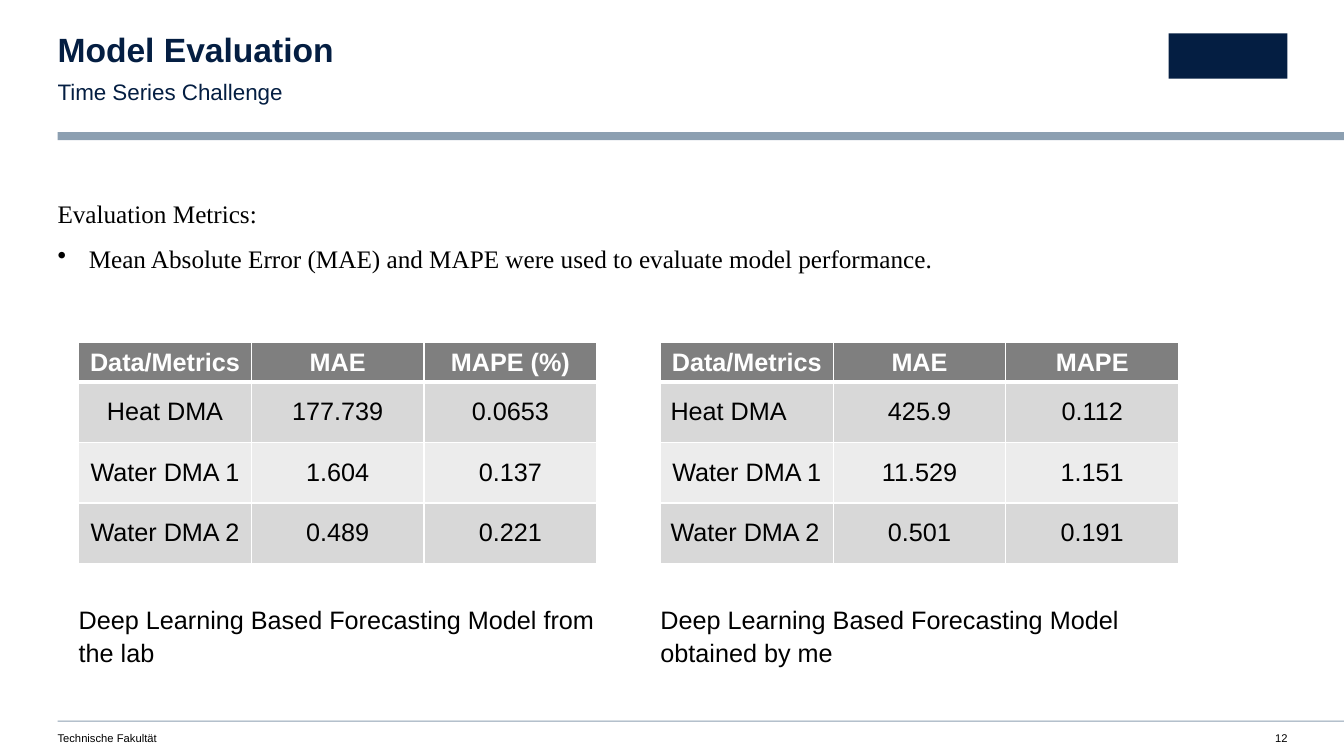
"""Build the model evaluation slide with two metric tables."""
import dataclasses

import pptx
import pptx.dml.color
import pptx.enum.shapes
import pptx.enum.text
import pptx.oxml
import pptx.oxml.ns
import pptx.util

ALIGN = pptx.enum.text.PP_ALIGN
ANCHOR = pptx.enum.text.MSO_ANCHOR


@dataclasses.dataclass(frozen=True)
class Theme:
    """Colours, fonts and type sizes of the slide."""

    navy: str = "041E42"
    steel: str = "8C9FB1"
    black: str = "000000"
    white: str = "FFFFFF"
    header: str = "7F7F7F"
    bands: tuple = ("D8D8D8", "ECECEC")
    sans: str = "Arial"
    serif: str = "Times New Roman"
    title: int = 24
    subtitle: int = 16
    body: int = 18
    footer: int = 8


THEME = Theme()
SLIDE_WIDTH = pptx.util.Inches(13.33)
SLIDE_HEIGHT = pptx.util.Inches(7.5)
MARGIN = 4.28
TABLE_TOP = 45.33
TABLE_WIDTH = 38.56
HEADER_HEIGHT = 5.2
ROW_HEIGHT = 8
CAPTION_TOP = 79.47
MODELS = [
    {
        "left": 49.14,
        "rows": [
            ("Data/Metrics", "MAE", "MAPE"),
            ("Heat DMA", "425.9", "0.112"),
            ("Water DMA 1", "11.529", "1.151"),
            ("Water DMA 2", "0.501", "0.191"),
        ],
        "left_aligned": {(1, 0), (3, 0)},
        "caption": "Deep Learning Based Forecasting Model obtained by me",
    },
    {
        "left": 5.85,
        "rows": [
            ("Data/Metrics", "MAE", "MAPE (%)"),
            ("Heat DMA", "177.739", "0.0653"),
            ("Water DMA 1", "1.604", "0.137"),
            ("Water DMA 2", "0.489", "0.221"),
        ],
        "left_aligned": set(),
        "caption": "Deep Learning Based Forecasting Model from the lab",
    },
]


def across(percent):
    """Return a share of the slide width."""
    return int(SLIDE_WIDTH * percent / 100)


def down(percent):
    """Return a share of the slide height."""
    return int(SLIDE_HEIGHT * percent / 100)


def box(left, top, width, height):
    """Return a frame given as percentages of the slide."""
    return across(left), down(top), across(width), down(height)


def apply_format(target, values):
    """Set each named attribute on the target."""
    for name, value in values.items():
        setattr(target, name, value)


def write_paragraph(paragraph, text, size, color=THEME.black, font=THEME.sans,
                    bold=False, **layout):
    """Write one formatted run into a paragraph."""
    apply_format(paragraph, {"alignment": ALIGN.LEFT, **layout})
    run = paragraph.add_run()
    run.text = text
    apply_format(run.font, {"name": font, "size": pptx.util.Pt(size), "bold": bold})
    run.font.color.rgb = pptx.dml.color.RGBColor.from_string(color)


def prepare_frame(shape):
    """Remove insets and wrap text from the top of the shape."""
    apply_format(shape.text_frame, {
        "margin_left": 0, "margin_top": 0, "margin_right": 0, "margin_bottom": 0,
        "word_wrap": True, "vertical_anchor": ANCHOR.TOP,
        "auto_size": pptx.enum.text.MSO_AUTO_SIZE.NONE,
    })
    return shape.text_frame


def add_text(slide, frame, text, size, **values):
    """Add a text box with one paragraph and return its text frame."""
    text_frame = prepare_frame(slide.shapes.add_textbox(*frame))
    write_paragraph(text_frame.paragraphs[0], text, size, **values)
    return text_frame


def add_title(slide, text):
    """Place and format the title placeholder."""
    title = slide.shapes.title
    apply_format(title, dict(zip(("left", "top", "width", "height"),
                                 box(MARGIN, 4.4, 56.19, 4.8))))
    write_paragraph(prepare_frame(title).paragraphs[0], text, THEME.title,
                    color=THEME.navy, bold=True, line_spacing=0.9)


def add_block(slide, frame, color):
    """Add a plain filled rectangle."""
    shape = slide.shapes.add_shape(pptx.enum.shapes.MSO_SHAPE.RECTANGLE, *frame)
    shape.shadow.inherit = False
    shape.fill.solid()
    shape.fill.fore_color.rgb = pptx.dml.color.RGBColor.from_string(color)
    shape.line.fill.background()


def add_bullet(paragraph):
    """Give a paragraph a hanging bullet."""
    properties = paragraph._p.get_or_add_pPr()
    indent = pptx.util.Inches(0.31)
    properties.set("marL", str(indent))
    properties.set("indent", str(-indent))
    bullet = pptx.oxml.parse_xml(
        f'<a:buChar {pptx.oxml.ns.nsdecls("a")} char="•"/>')
    properties.append(bullet)


def add_metrics(slide):
    """Add the heading and the bullet on evaluation metrics."""
    spacing = {"font": THEME.serif, "line_spacing": 1.1,
               "space_after": pptx.util.Pt(8)}
    text_frame = add_text(slide, box(MARGIN, 25.87, 89.95, 22),
                          "Evaluation Metrics:", THEME.body, **spacing)
    paragraph = text_frame.add_paragraph()
    write_paragraph(
        paragraph,
        "Mean Absolute Error (MAE) and MAPE were used to evaluate model performance.",
        THEME.body, **spacing)
    add_bullet(paragraph)


def style_cell(cell, fill, bottom_width, top_width):
    """Set the borders, fill and anchor of a table cell."""
    properties = cell._tc.get_or_add_tcPr()
    widths = {"lnL": 1, "lnR": 1, "lnT": top_width, "lnB": bottom_width}
    for side, width in widths.items():
        properties.append(pptx.oxml.parse_xml(
            f'<a:{side} {pptx.oxml.ns.nsdecls("a")} w="{pptx.util.Pt(width)}">'
            f'<a:solidFill><a:srgbClr val="{THEME.white}"/></a:solidFill></a:{side}>'))
    cell.fill.solid()
    cell.fill.fore_color.rgb = pptx.dml.color.RGBColor.from_string(fill)
    cell.vertical_anchor = ANCHOR.MIDDLE


def add_metric_table(slide, left, rows, left_aligned):
    """Add one banded table of model metrics."""
    height = HEADER_HEIGHT + ROW_HEIGHT * (len(rows) - 1)
    table = slide.shapes.add_table(
        len(rows), len(rows[0]), *box(left, TABLE_TOP, TABLE_WIDTH, height)).table
    for row_index, row in enumerate(rows):
        is_header = row_index == 0
        table.rows[row_index].height = down(HEADER_HEIGHT if is_header else ROW_HEIGHT)
        fill = THEME.header if is_header else THEME.bands[(row_index - 1) % 2]
        for column_index, text in enumerate(row):
            cell = table.cell(row_index, column_index)
            style_cell(cell, fill, 3 if is_header else 1, 3 if row_index == 1 else 1)
            at_left = (row_index, column_index) in left_aligned
            write_paragraph(cell.text_frame.paragraphs[0], text, THEME.body,
                            color=THEME.white if is_header else THEME.black,
                            bold=is_header,
                            alignment=ALIGN.LEFT if at_left else ALIGN.CENTER)


def main():
    """Build and save the slide."""
    presentation = pptx.Presentation()
    apply_format(presentation, {"slide_width": SLIDE_WIDTH, "slide_height": SLIDE_HEIGHT})
    slide = presentation.slides.add_slide(presentation.slide_layouts[5])
    add_block(slide, box(MARGIN, 17.47, 100 - MARGIN, 1.07), THEME.steel)
    add_block(slide, box(MARGIN, 95.33, 100 - MARGIN, 0.13), THEME.steel)
    add_block(slide, box(86.95, 4.4, 8.85, 6), THEME.navy)
    add_text(slide, box(MARGIN, 96.8, 44.86, 1.73), "Technische Fakultät", THEME.footer)
    add_text(slide, box(94.22, 96.8, 1.58, 1.73), "12", THEME.footer,
             alignment=ALIGN.RIGHT)
    add_title(slide, "Model Evaluation")
    add_text(slide, box(MARGIN, 10, 56.19, 3.6), "Time Series Challenge",
             THEME.subtitle, color=THEME.navy, line_spacing=1.1)
    add_metrics(slide)
    for model in MODELS:
        add_metric_table(slide, model["left"], model["rows"], model["left_aligned"])
        add_text(slide, box(model["left"], CAPTION_TOP, 41.34, 8.53),
                 model["caption"], THEME.body, line_spacing=1.1)
    presentation.save("out.pptx")


if __name__ == "__main__":
    main()
